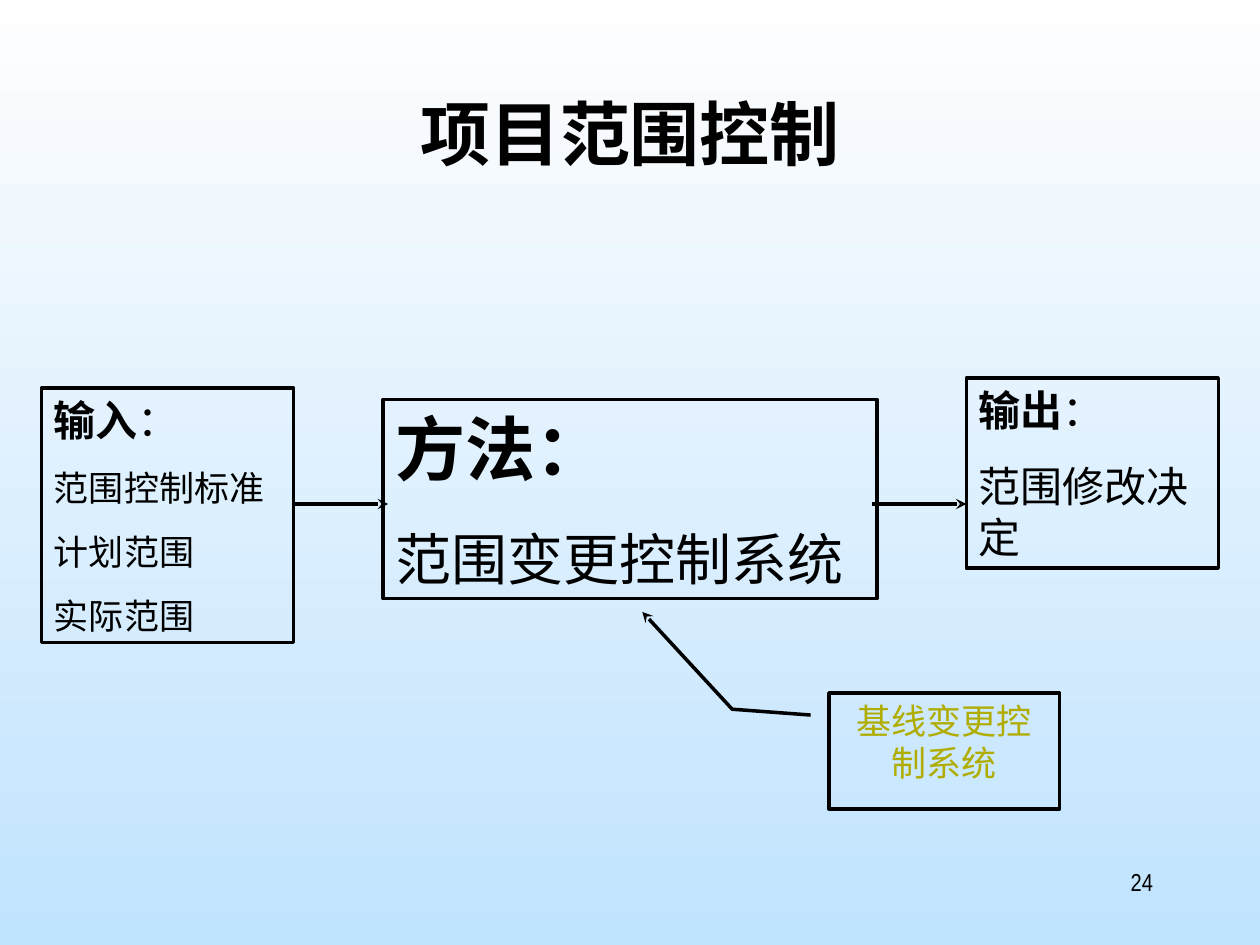
"""Build the project scope control slide: inputs, method and outputs."""
from lxml import etree
from pptx import Presentation
from pptx.dml.color import RGBColor
from pptx.enum.shapes import MSO_CONNECTOR, MSO_SHAPE
from pptx.enum.text import MSO_ANCHOR, MSO_AUTO_SIZE, PP_ALIGN
from pptx.oxml.ns import qn
from pptx.util import Inches, Pt

RECTANGLE = MSO_SHAPE.RECTANGLE
CALLOUT = MSO_SHAPE.LINE_CALLOUT_2
STRAIGHT = MSO_CONNECTOR.STRAIGHT
TOP = MSO_ANCHOR.TOP
GROW = MSO_AUTO_SIZE.SHAPE_TO_FIT_TEXT
LEFT, CENTER, RIGHT = PP_ALIGN.LEFT, PP_ALIGN.CENTER, PP_ALIGN.RIGHT
COLORS = {"ink": "000000", "accent": "B0AC00", "sky_top": "FEFEFE", "sky_bottom": "C0E3FE"}
CHINESE_FONT = "Noto Sans CJK SC"
LATIN_FONT = "Arial Narrow"


def write_text(box, paragraphs, align=LEFT, color="ink", font=LATIN_FONT):
    """Fill a box with (space before, [(text, size, bold), ...]) paragraphs."""
    frame = box.text_frame
    frame.word_wrap = True
    frame.vertical_anchor = TOP
    for index, (space, spans) in enumerate(paragraphs):
        para = frame.add_paragraph() if index else frame.paragraphs[0]
        para.alignment = align
        para.space_before = Pt(space)
        for text, size, bold in spans:
            span = para.add_run()
            span.text = text
            span.font.size = Pt(size)
            span.font.bold = bold
            span.font.name = font
            span.font.color.rgb = RGBColor.from_string(COLORS[color])
            east_asian = etree.SubElement(span.font._element, qn("a:ea"))
            east_asian.set("typeface", CHINESE_FONT)


def style_line(item, arrow=False):
    """Give a shape or connector a black outline, with an optional arrowhead."""
    item.line.width = Pt(2)
    item.line.color.rgb = RGBColor.from_string(COLORS["ink"])
    if arrow:
        etree.SubElement(item.line._get_or_add_ln(), qn("a:tailEnd")).set("type", "stealth")


deck = Presentation()
deck.slide_width, deck.slide_height = Inches(10), Inches(7.5)
page = deck.slides.add_slide(deck.slide_layouts[6])

backdrop = page.background.fill
backdrop.gradient()
backdrop.gradient_angle = 270
for stop, position, name in zip(backdrop.gradient_stops, (0, 1), ("sky_top", "sky_bottom")):
    stop.position = position
    stop.color.rgb = RGBColor.from_string(COLORS[name])

title = page.shapes.add_textbox(Inches(0.75), Inches(0.67), Inches(8.5), Inches(1.25))
write_text(title, [(0, [("项目范围控制", 40, True)])], CENTER, font=CHINESE_FONT)

process_boxes = [
    ((3.04, 3.17, 3.92, 1.58), [
        (0, [("方法：", 40, True)]),
        (20, [("范围变更控制系统", 32, False)]),
    ]),
    ((0.33, 3.08, 2, 2.02), [
        (0, [("输入", 24, True), ("：", 24, False)]),
        *[(12.5, [(item, 20, False)]) for item in ("范围控制标准", "计划范围", "实际范围")],
    ]),
    ((7.67, 3, 2, 1.51), [
        (0, [("输出", 24, True), ("：", 24, False)]),
        (15, [("范围修改决定", 24, False)]),
    ]),
]
for bounds, paragraphs in process_boxes:
    box = page.shapes.add_shape(RECTANGLE, *map(Inches, bounds))
    box.shadow.inherit = False
    box.fill.background()
    style_line(box)
    write_text(box, paragraphs)
    box.text_frame.auto_size = GROW

for start in (2.33, 6.92):
    arrow = page.shapes.add_connector(
        STRAIGHT, Inches(start), Inches(4), Inches(start + 0.75), Inches(4))
    style_line(arrow, arrow=True)
    etree.SubElement(arrow._element.spPr, qn("a:effectLst"))

callout = page.shapes.add_shape(CALLOUT, Inches(6.58), Inches(5.5), Inches(1.83), Inches(0.92))
for index, value in enumerate((0.19, -0.08, 0.14, -0.42, -0.7, -0.81)):
    callout.adjustments[index] = value
callout.shadow.inherit = False
callout.fill.background()
style_line(callout, arrow=True)
write_text(callout, [(0, [("基线变更控制系统", 20, False)])], CENTER, "accent")

page_number = page.shapes.add_textbox(Inches(7.17), Inches(6.83), Inches(2.08), Inches(0.5))
write_text(page_number, [(0, [("24", 14, False)])], RIGHT)

deck.save("out.pptx")
